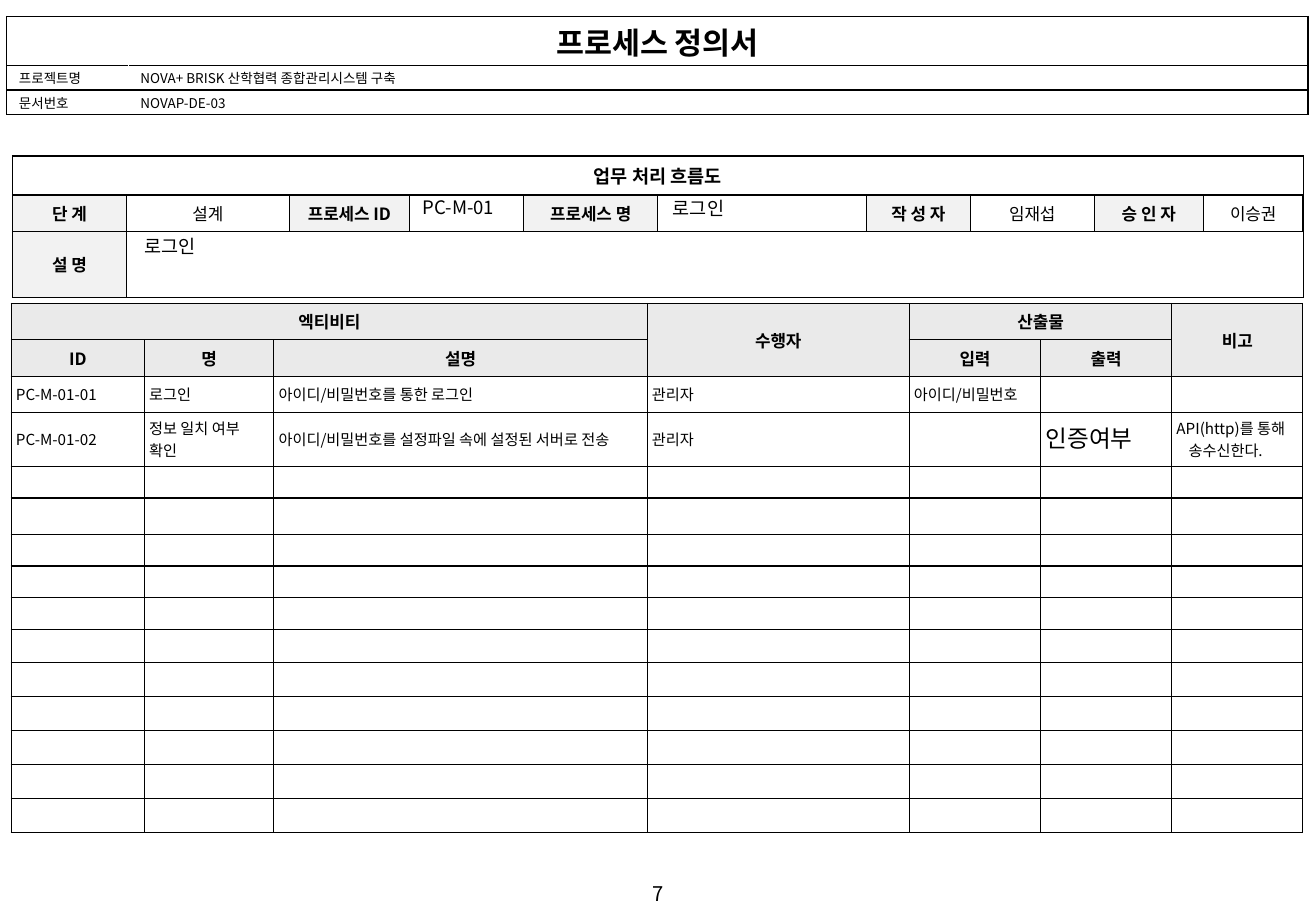
from lxml import etree
from pptx import Presentation
from pptx.dml.color import RGBColor
from pptx.enum.text import MSO_ANCHOR, PP_ALIGN
from pptx.oxml.ns import qn
from pptx.util import Pt

LEFT, CENTER = PP_ALIGN.LEFT, PP_ALIGN.CENTER
TOP, MIDDLE = MSO_ANCHOR.TOP, MSO_ANCHOR.MIDDLE
FONT = "Noto Sans CJK KR"
COLORS = {"ink": "000000", "paper": "FFFFFF", "label": "F2F2F2", "heading": "EAEAEA"}

# Text size, bold, alignment, anchor, side margin, top margin, fill, font
STYLES = {
    "title": (18, True, CENTER, TOP, 7.2, 1.44, "paper", FONT),
    "document": (8, False, LEFT, TOP, 7.2, 1.44, "paper", FONT),
    "flow": (11, True, CENTER, MIDDLE, 7.2, 3.6, "paper", FONT),
    "label": (10, True, CENTER, MIDDLE, 7.2, 3.6, "label", FONT),
    "value": (10, False, CENTER, MIDDLE, 7.2, 3.6, "paper", FONT),
    "heading": (10, True, CENTER, MIDDLE, 7.2, 3.6, "heading", FONT),
    "activity": (9, False, LEFT, MIDDLE, 2.8, 2.8, "paper", FONT),
    "output": (14, False, LEFT, MIDDLE, 2.8, 2.8, "paper", "Arial"),
}


def write_text(frame, text, size, bold, align, font):
    """Fill a text frame, one paragraph for each line of the text."""
    for index, line in enumerate(text.split("\n")):
        para = frame.add_paragraph() if index else frame.paragraphs[0]
        para.alignment = align
        if not line:
            etree.SubElement(para._p, qn("a:endParaRPr"), sz=str(size * 100))
            continue
        span = para.add_run()
        span.text = line
        formats = {"name": font, "size": Pt(size), "bold": bold}
        for name, value in formats.items():
            setattr(span.font, name, value)
        span.font.color.rgb = RGBColor.from_string(COLORS["ink"])
        etree.SubElement(span._r.get_or_add_rPr(), qn("a:ea"), typeface=font)


def set_border(cell, side, color, width):
    """Draw one solid border of a table cell."""
    line = etree.SubElement(cell._tc.get_or_add_tcPr(), qn("a:ln" + side), w=str(Pt(width)))
    fill = etree.SubElement(line, qn("a:solidFill"))
    etree.SubElement(fill, qn("a:srgbClr"), val=COLORS[color])


deck = Presentation()
deck.slide_width, deck.slide_height = Pt(780), Pt(540)
page = deck.slides.add_slide(deck.slide_layouts[6])

document = {
    "at": (4, 9.8), "columns": [72, 699.4], "rows": [29, 14.4, 14.4],
    "merges": [(0, 0, 0, 1)], "inner": 1, "outer": "LRTB",
    "styles": ["title", "document", "document"],
    "texts": [["프로세스 정의서"],
              ["프로젝트명", "NOVA+ BRISK 산학협력 종합관리시스템 구축"],
              ["문서번호", "NOVAP-DE-03"]],
}
flow = {
    "at": (7.4, 92.4), "rows": [23.2, 21.6, 39.1],
    "columns": [67.6, 96.6, 71.1, 67.9, 79.1, 123.9, 61.6, 73.5, 64.6, 59.3],
    "merges": [(0, 0, 0, 9), (2, 1, 2, 9)], "inner": 0.75, "outer": "LRTB",
    "styles": ["flow", "value", "value"],
    "texts": [["업무 처리 흐름도"],
              ["단 계", "설계", "프로세스 ID", "", "프로세스 명", "",
               "작 성 자", "임재섭", "승 인 자", "이승권"],
              ["설 명"]],
}
activities = {
    "at": (6.7, 179.8), "columns": [78.9, 76.8, 221.3, 155.3, 77.9, 77.7, 77.7],
    "rows": [21.6, 21.6, 21.4, 32, 18.8, 21.5, 18.8, 18.8, 18.8, 19.7] + [20.15] * 5,
    "merges": [(0, 0, 0, 2), (0, 3, 1, 3), (0, 4, 0, 5), (0, 6, 1, 6)],
    "inner": 0.75, "outer": "L",
    "styles": ["heading"] * 2 + ["activity"] * 13,
    "texts": [["엑티비티", "", "", "수행자", "산출물", "", "비고"],
              ["ID", "명", "설명", "", "입력", "출력"],
              ["PC-M-01-01", "로그인", "아이디/비밀번호를 통한 로그인", "관리자", "아이디/비밀번호"],
              ["PC-M-01-02", "정보 일치 여부\n확인",
               "아이디/비밀번호를 설정파일 속에 설정된 서버로 전송", "관리자", "",
               "인증여부", "API(http)를 통해 송수신한다."]],
}

for form in (document, flow, activities):
    columns, rows = form["columns"], form["rows"]
    last_row, last_column = len(rows) - 1, len(columns) - 1
    left, top = form["at"]
    table = page.shapes.add_table(len(rows), len(columns), Pt(left), Pt(top),
                                  Pt(sum(columns)), Pt(sum(rows))).table
    table.first_row = table.horz_banding = False
    for column, width in zip(table.columns, columns):
        column.width = Pt(width)
    for row, height in zip(table.rows, rows):
        row.height = Pt(height)
    for r in range(len(rows)):
        for c in range(len(columns)):
            cell = table.cell(r, c)
            style = form["styles"][r]
            if form is flow and r and c % 2 == 0 and (r == 1 or c == 0):
                style = "label"
            if form is activities and (r, c) == (3, 5):
                style = "output"
            size, bold, align, anchor, side_gap, top_gap, fill, font = STYLES[style]
            at_edge = {"L": c == 0, "R": c == last_column, "T": r == 0, "B": r == last_row}
            for side, is_edge in at_edge.items():
                divider = form is document and r and side in "LR" and not is_edge
                width = 1 if is_edge and side in form["outer"] else form["inner"]
                set_border(cell, side, "paper" if divider else "ink", width)
            cell.fill.solid()
            cell.fill.fore_color.rgb = RGBColor.from_string(COLORS[fill])
            formats = {"margin_left": Pt(side_gap), "margin_right": Pt(side_gap),
                       "margin_top": Pt(top_gap), "margin_bottom": Pt(top_gap),
                       "vertical_anchor": anchor}
            for name, value in formats.items():
                setattr(cell, name, value)
            line = form["texts"][r] if r < len(form["texts"]) else []
            text = line[c] if c < len(line) else ""
            write_text(cell.text_frame, text, size if text else 8, bold, align, font)
    for r1, c1, r2, c2 in form["merges"]:
        table.cell(r1, c1).merge(table.cell(r2, c2))

# The remark hangs its second line
remark = table.cell(3, 6).text_frame.paragraphs[0]._p.get_or_add_pPr()
remark.set("marL", str(Pt(7.2)))
remark.set("indent", str(Pt(-7.2)))

for text, left, top, width, size, align in [
    ("PC-M-01", 243.4, 112.3, 67, 11, LEFT),
    ("로그인", 391.7, 113.4, 123, 11, LEFT),
    ("로그인", 78.5, 136, 686, 11, LEFT),
    ("7", 0, 519, 780, 12, CENTER),
]:
    box = page.shapes.add_textbox(Pt(left), Pt(top), Pt(width), Pt(21))
    box.text_frame.word_wrap = True
    write_text(box.text_frame, text, size, False, align, FONT)

deck.save("out.pptx")
